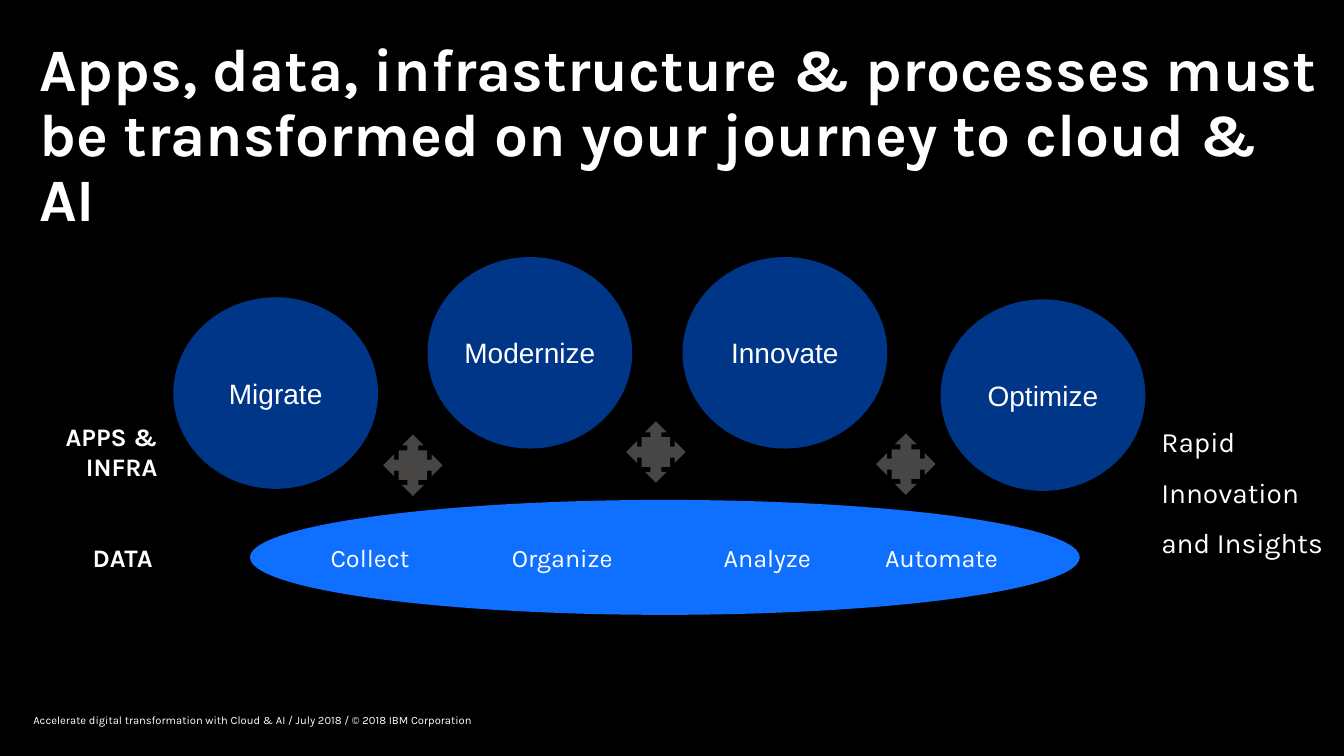
from dataclasses import dataclass

from pptx import Presentation
from pptx.dml.color import RGBColor
from pptx.enum.shapes import MSO_SHAPE
from pptx.enum.text import MSO_ANCHOR, MSO_AUTO_SIZE, PP_ALIGN
from pptx.util import Inches, Pt

OVAL = MSO_SHAPE.OVAL
ARROWS = MSO_SHAPE.QUAD_ARROW_CALLOUT
TOP, MIDDLE = MSO_ANCHOR.TOP, MSO_ANCHOR.MIDDLE
FIT, FIXED = MSO_AUTO_SIZE.SHAPE_TO_FIT_TEXT, MSO_AUTO_SIZE.NONE
LEFT, CENTER, RIGHT = PP_ALIGN.LEFT, PP_ALIGN.CENTER, PP_ALIGN.RIGHT

COLORS = {
    "background": "000000",
    "text": "FFFFFF",
    "stage": "003687",
    "data": "0F6FFF",
    "arrows": "484545",
}
SLIDE_W, SLIDE_H = Inches(13.333), Inches(7.5)
COL, ROW = SLIDE_W / 100, SLIDE_H / 100
DATA_ROW = 71.07
LABEL_H = 5.33


@dataclass
class Box:
    col: float
    row: float
    cols: float
    rows: float

    def emu(self) -> tuple[int, int, int, int]:
        return (round(self.col * COL), round(self.row * ROW),
                round(self.cols * COL), round(self.rows * ROW))


@dataclass
class Style:
    size: int
    font: str = "Karla"
    bold: bool = False
    align: PP_ALIGN = LEFT
    anchor: MSO_ANCHOR = TOP
    spacing: float = 1.0
    wrap: bool = True
    inset: bool = True
    autosize: MSO_AUTO_SIZE = FIT


@dataclass
class Label:
    text: str
    box: Box
    style: Style


@dataclass
class Figure:
    kind: MSO_SHAPE
    box: Box
    color: str
    text: str = ""


STAGE = Style(20, font="Arial", align=CENTER, anchor=MIDDLE, inset=False, autosize=FIXED)
DATA_STEP = Style(18, wrap=False)

STAGES = [("Migrate", 12.9, 39.33), ("Modernize", 31.81, 34),
          ("Innovate", 50.79, 34), ("Optimize", 69.99, 39.6)]
CROSSES = [(28.51, 57.47), (46.59, 55.73), (65.19, 57.33)]
STEPS = [("Collect", 23.86, 7.43), ("Organize", 37.36, 9),
         ("Analyze", 53.11, 8.18), ("Automate", 65.12, 9.9)]

FIGURES = [
    *(Figure(OVAL, Box(col, row, 15.23, 25.33), "stage", name) for name, col, row in STAGES),
    Figure(OVAL, Box(18.6, 66.13, 61.74, 15.2), "data"),
    *(Figure(ARROWS, Box(col, row, 4.43, 8.13), "arrows") for col, row in CROSSES),
]
LABELS = [
    Label("Apps, data, infrastructure & processes must be transformed on your journey to cloud & AI",
          Box(2.93, 5.2, 95.5, 15.2),
          Style(43, bold=True, spacing=0.9, inset=False, autosize=FIXED)),
    Label("Accelerate digital transformation with Cloud & AI / July 2018 / © 2018 IBM Corporation",
          Box(2.48, 93.87, 70, 2.67),
          Style(8, anchor=MIDDLE, inset=False, autosize=FIXED)),
    Label("Rapid Innovation and Insights", Box(85.67, 53.33, 14.1, 20.8), Style(20, spacing=1.5)),
    *(Label(name, Box(col, DATA_ROW, cols, LABEL_H), DATA_STEP) for name, col, cols in STEPS),
    Label("APPS & INFRA", Box(3.3, 55.07, 9.15, 9.47), Style(18, bold=True, align=RIGHT)),
    Label("DATA", Box(6.15, DATA_ROW, 9.15, LABEL_H), Style(18, bold=True)),
]


def rgb(name: str) -> RGBColor:
    return RGBColor.from_string(COLORS[name])


def write(sp, text: str, style: Style) -> None:
    tf = sp.text_frame
    tf.text = text
    tf.word_wrap = style.wrap
    tf.auto_size = style.autosize
    tf.vertical_anchor = style.anchor
    if not style.inset:
        tf.margin_left = tf.margin_right = tf.margin_top = tf.margin_bottom = 0
    p = tf.paragraphs[0]
    p.alignment = style.align
    p.line_spacing = style.spacing
    r = p.runs[0]
    r.font.name = style.font
    r.font.size = Pt(style.size)
    r.font.bold = style.bold
    r.font.color.rgb = rgb("text")


def draw_figure(s, figure: Figure) -> None:
    sp = s.shapes.add_shape(figure.kind, *figure.box.emu())
    sp.shadow.inherit = False
    sp.fill.solid()
    sp.fill.fore_color.rgb = rgb(figure.color)
    sp.line.fill.background()
    if figure.text:
        write(sp, figure.text, STAGE)


def draw_label(s, label: Label) -> None:
    write(s.shapes.add_textbox(*label.box.emu()), label.text, label.style)


def main() -> None:
    prs = Presentation()
    prs.slide_width, prs.slide_height = SLIDE_W, SLIDE_H
    s = prs.slides.add_slide(prs.slide_layouts[6])
    s.background.fill.solid()
    s.background.fill.fore_color.rgb = rgb("background")
    for figure in FIGURES:
        draw_figure(s, figure)
    for label in LABELS:
        draw_label(s, label)
    prs.save("out.pptx")


if __name__ == "__main__":
    main()
